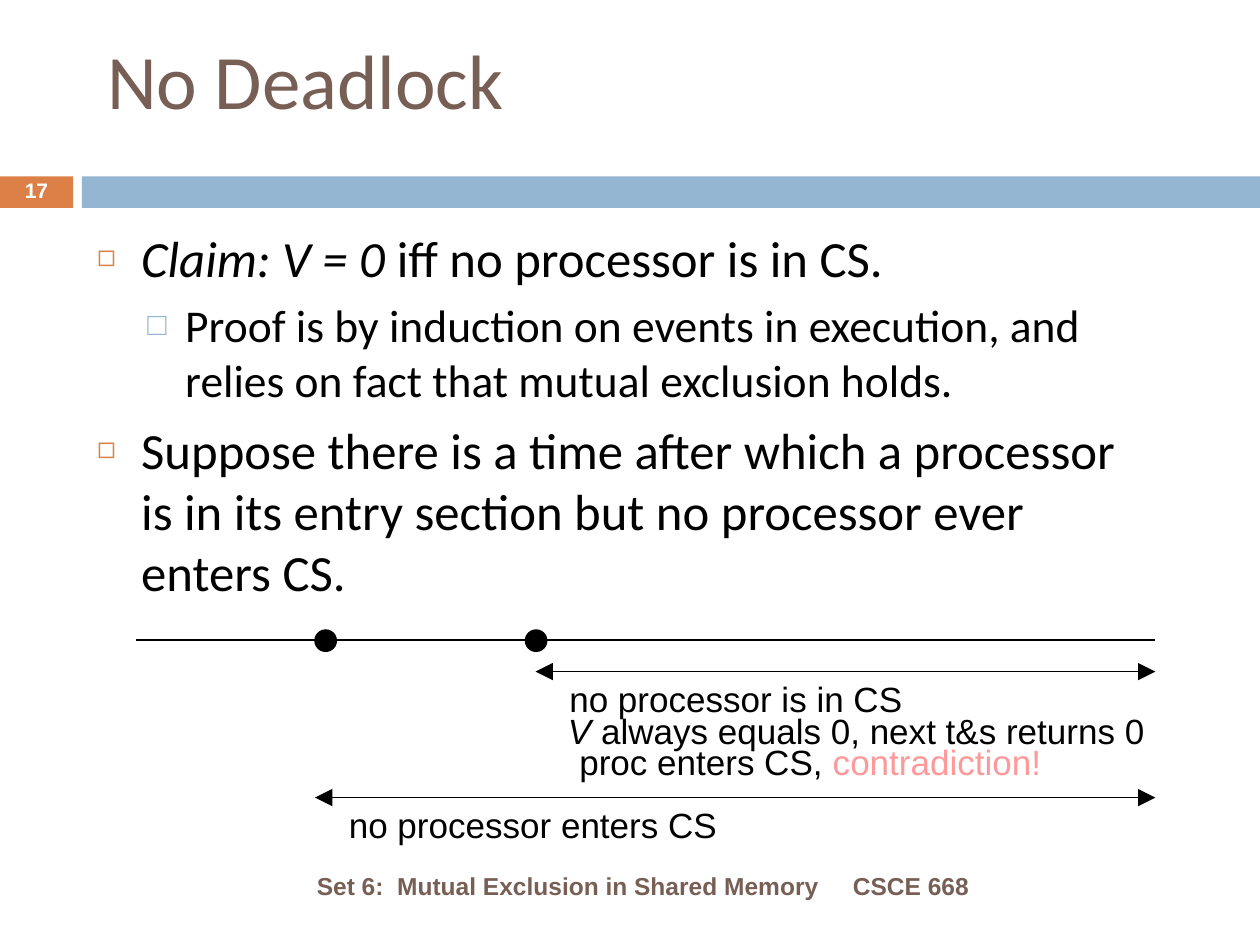
import pptx
import pptx.util
import pptx.dml.color
import pptx.enum.shapes
import pptx.enum.text
import pptx.oxml.ns
from lxml import etree

Inches = pptx.util.Inches
Pt = pptx.util.Pt
SHAPE = pptx.enum.shapes.MSO_SHAPE
ALIGN = pptx.enum.text.PP_ALIGN
ANCHOR = pptx.enum.text.MSO_ANCHOR
AUTO = pptx.enum.text.MSO_AUTO_SIZE
qn = pptx.oxml.ns.qn

COLORS = {
    "brown": "775F55",
    "orange": "DD8047",
    "blue": "94B6D2",
    "pink": "FF9999",
    "black": "000000",
    "white": "FFFFFF",
}

# Bullet styles by level: left margin, hanging, space before, size, mark, color, mark size %
LEVELS = [
    (0.35, 0.35, 7, 29, "◻", "orange", 60),
    (0.7, 0.3, 5.5, 26, "□", "blue", 70),
]


def rgb(name):
    return pptx.dml.color.RGBColor.from_string(COLORS[name])


def write(p, *runs, size=20, font="Arial", color="black", bold=False, align=ALIGN.LEFT):
    """Fill a paragraph; a run is a string or (string, {"italic" or "color"})."""
    p.alignment = align
    for run in runs:
        text, fmt = (run, {}) if isinstance(run, str) else run
        r = p.add_run()
        r.text = text
        r.font.size = Pt(size)
        r.font.name = font
        r.font.bold = bold
        r.font.italic = fmt.get("italic", False)
        r.font.color.rgb = rgb(fmt.get("color", color))


def place(sp, x, y, w, h):
    sp.left, sp.top, sp.width, sp.height = Inches(x), Inches(y), Inches(w), Inches(h)


def add_block(slide, kind, x, y, w, h, color, outline=False):
    sp = slide.shapes.add_shape(kind, Inches(x), Inches(y), Inches(w), Inches(h))
    sp.shadow.inherit = False
    sp.fill.solid()
    sp.fill.fore_color.rgb = rgb(color)
    if outline:
        sp.line.color.rgb = rgb(color)
        sp.line.width = Pt(0.75)
    else:
        sp.line.fill.background()


def add_text(slide, x, y, w, h, *runs, anchor=ANCHOR.MIDDLE, spacing=None, **fmt):
    sp = slide.shapes.add_textbox(Inches(x), Inches(y), Inches(w), Inches(h))
    tf = sp.text_frame
    tf.word_wrap = True
    tf.vertical_anchor = anchor
    p = tf.paragraphs[0]
    if spacing:
        p.line_spacing = spacing
    write(p, *runs, **fmt)


def add_line(slide, x1, x2, y, arrows=False):
    line = slide.shapes.add_connector(
        pptx.enum.shapes.MSO_CONNECTOR.STRAIGHT,
        Inches(x1), Inches(y), Inches(x2), Inches(y))
    line.line.color.rgb = rgb("black")
    line.line.width = Pt(0.75)
    if arrows:
        ln = line.line._get_or_add_ln()
        for end in ("a:headEnd", "a:tailEnd"):
            etree.SubElement(ln, qn(end), type="triangle", w="lg", len="lg")
    etree.SubElement(line._element.spPr, qn("a:effectLst"))


def add_bullet(tf, level, *runs):
    margin, hanging, before, size, mark, color, percent = LEVELS[level]
    first = not tf.paragraphs[0].runs
    p = tf.paragraphs[0] if first else tf.add_paragraph()
    p.level = level
    p.space_before = Pt(0 if first else before)
    pPr = p._p.get_or_add_pPr()
    pPr.set("marL", str(Inches(margin)))
    pPr.set("indent", str(-Inches(hanging)))
    bu_color = etree.SubElement(pPr, qn("a:buClr"))
    etree.SubElement(bu_color, qn("a:srgbClr"), val=COLORS[color])
    etree.SubElement(pPr, qn("a:buSzPct"), val=str(percent * 1000))
    etree.SubElement(pPr, qn("a:buChar"), char=mark)
    write(p, *runs, size=size, font="Calibri")


def main():
    prs = pptx.Presentation()
    prs.slide_width, prs.slide_height = Inches(10), Inches(7.5)
    slide = prs.slides.add_slide(prs.slide_layouts[1])

    # Header band and slide number
    add_block(slide, SHAPE.RECTANGLE, 0, 1.4, 0.58, 0.25, "orange")
    add_block(slide, SHAPE.RECTANGLE, 0.65, 1.4, 9.35, 0.25, "blue")
    add_text(slide, 0, 1.39, 0.58, 0.27, "17", size=12, color="white", bold=True,
             align=ALIGN.CENTER, spacing=0.8)

    # Title
    title = slide.shapes.title
    place(title, 0.75, 0, 8.5, 1.25)
    title.text_frame.vertical_anchor = ANCHOR.MIDDLE
    title.text_frame.auto_size = AUTO.NONE
    write(title.text_frame.paragraphs[0], "No Deadlock",
          size=44, font="Calibri", color="brown")

    # Body list
    body = slide.placeholders[1]
    place(body, 0.67, 1.75, 8.5, 3.83)
    tf = body.text_frame
    tf.auto_size = AUTO.NONE
    tf.vertical_anchor = ANCHOR.TOP
    add_bullet(tf, 0, ("Claim: V = 0", {"italic": True}), " iff no processor is in CS.")
    add_bullet(tf, 1, "Proof is by induction on events in execution, "
                      "and relies on fact that mutual exclusion holds.")
    add_bullet(tf, 0, "Suppose there is a time after which a processor is in its "
                      "entry section but no processor ever enters CS.")

    # Timeline with two events and their spans
    end = 9.17
    add_line(slide, 1.08, end, 5.08)
    for x in (2.5, 4.17):
        add_block(slide, SHAPE.OVAL, x, 5, 0.17, 0.17, "black", outline=True)
    for x, y in ((2.5, 6.33), (4.25, 5.33)):
        add_line(slide, x, end, y, arrows=True)

    # Span labels, each wide enough for a single line
    labels = [
        (2.67, 6.33, 3.25, ["no processor enters CS"]),
        (4.42, 5.33, 3, ["no processor is in CS"]),
        (4.41, 5.58, 4.9, [("V", {"italic": True}),
                           " always equals 0, next t&s returns 0"]),
        (4.5, 5.83, 4, ["proc enters CS, ", ("contradiction!", {"color": "pink"})]),
    ]
    for x, y, w, runs in labels:
        add_text(slide, x, y, w, 0.44, *runs, anchor=ANCHOR.TOP)

    # Footer
    footer = {"size": 14, "color": "brown", "bold": True}
    add_text(slide, 0.67, 6.83, 5.93, 0.4, "Set 6:  Mutual Exclusion in Shared Memory",
             align=ALIGN.RIGHT, **footer)
    add_text(slide, 6.67, 6.83, 2.92, 0.4, "CSCE 668", **footer)

    prs.save("out.pptx")


if __name__ == "__main__":
    main()
